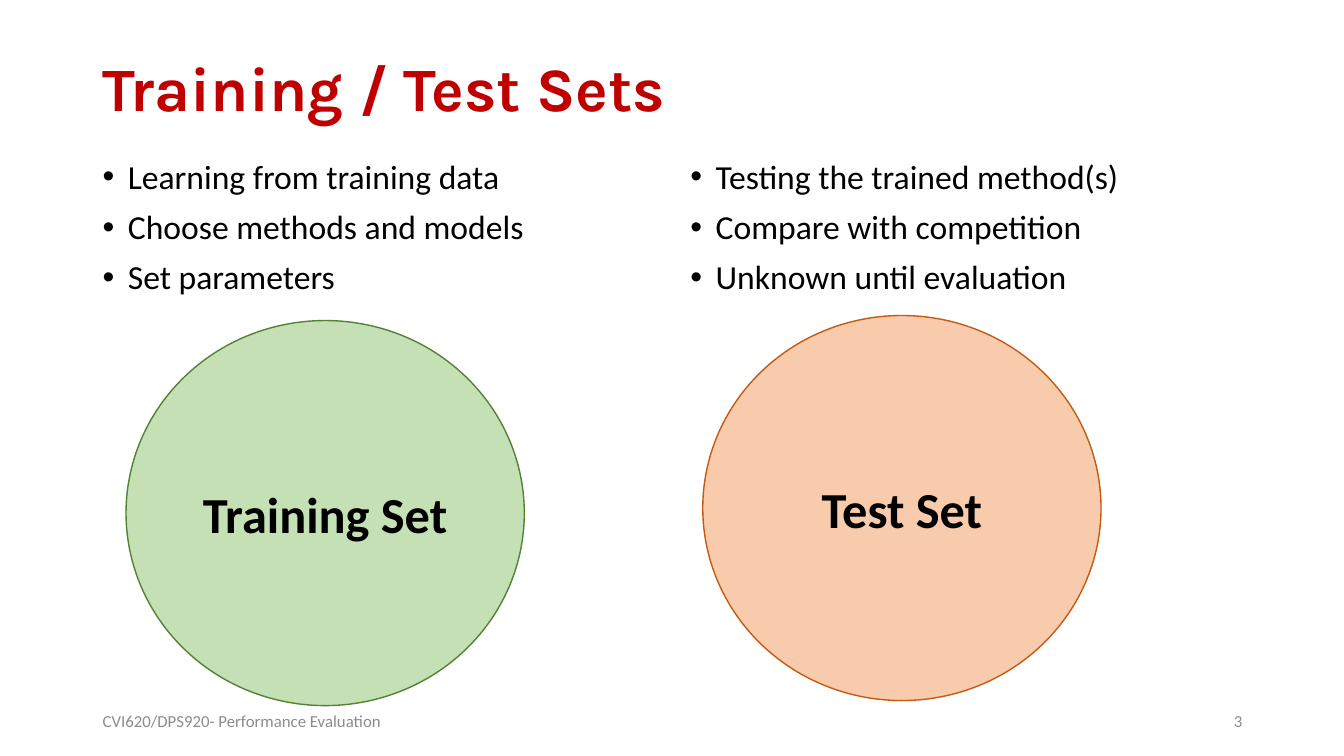
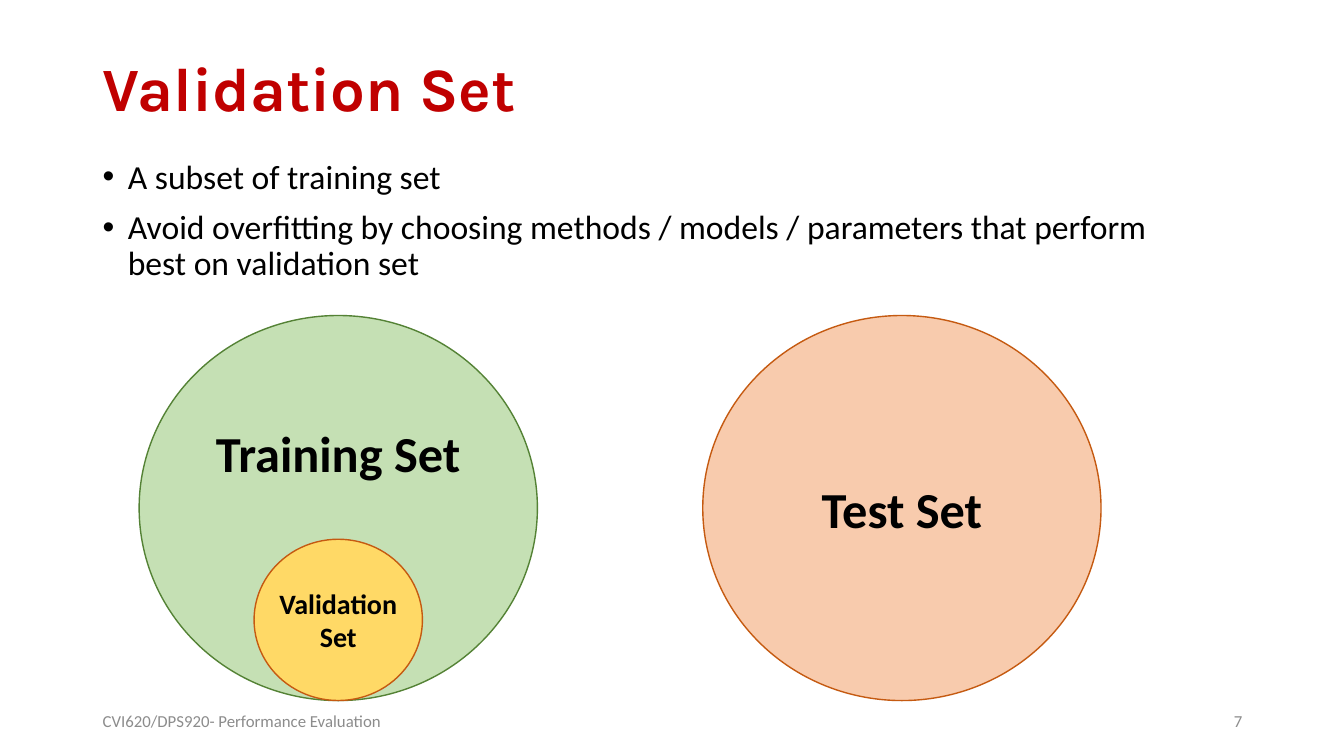
"""Build two slides on training, test and validation sets."""
from lxml.etree import SubElement
from pptx import Presentation
from pptx.dml.color import RGBColor
from pptx.enum.shapes import MSO_SHAPE
from pptx.enum.text import MSO_ANCHOR, MSO_AUTO_SIZE, PP_ALIGN
from pptx.oxml.ns import qn
from pptx.util import Inches, Pt

TITLE = {"name": "Karla", "size": Pt(44), "bold": True, "color": "C00000"}
BODY = {"name": "Calibri", "size": Pt(24), "bold": False, "color": "000000"}
LABEL = BODY | {"size": Pt(36), "bold": True}
SMALL = LABEL | {"size": Pt(20)}
FOOTER = BODY | {"size": Pt(12), "color": "8C8C8C"}
GREEN, ORANGE, YELLOW = ("C5E0B4", "548235"), ("F8CBAD", "C55A11"), ("FFD966", "C55A11")
MIDDLE = {"vertical_anchor": MSO_ANCHOR.MIDDLE}
TOP = {"vertical_anchor": MSO_ANCHOR.TOP}
UPPER = TOP | {"margin_top": Inches(0.5)}
TIGHT = MIDDLE | {f"margin_{side}": 0 for side in ("left", "top", "right", "bottom")}

TEST_SET = ("Test Set", 6.97, 3.13, 3.95, 3.82, ORANGE, LABEL, MIDDLE)
SLIDES = [
    {
        "title": "Training / Test Sets",
        "number": "3",
        "lists": [
            (0.92, 5.67, ["Learning from training data", "Choose methods and models",
                          "Set parameters"]),
            (6.75, 5.67, ["Testing the trained method(s)", "Compare with competition",
                          "Unknown until evaluation"]),
        ],
        "circles": [
            ("Training Set", 1.25, 3.18, 3.95, 3.82, GREEN, LABEL, MIDDLE),
            TEST_SET,
        ],
    },
    {
        "title": "Validation Set",
        "number": "7",
        "lists": [
            (0.92, 10.94, ["A subset of training set",
                           "Avoid overfitting by choosing methods / models / parameters "
                           "that perform best on validation set"]),
        ],
        "circles": [
            TEST_SET,
            ("Training Set", 1.38, 3.13, 3.95, 3.82, GREEN, LABEL, UPPER),
            ("Validation Set", 2.52, 5.35, 1.67, 1.6, YELLOW, SMALL, TIGHT),
        ],
    },
]


def rgb(value):
    return RGBColor.from_string(value)


def write(sp, lines, style, frame, align=PP_ALIGN.LEFT, spacing=1.0, bullets=False):
    tf = sp.text_frame
    for key, value in ({"word_wrap": True, "auto_size": MSO_AUTO_SIZE.NONE} | frame).items():
        setattr(tf, key, value)
    for i, line in enumerate(lines):
        p = tf.add_paragraph() if i else tf.paragraphs[0]
        p.alignment, p.line_spacing = align, spacing
        p.space_before = Pt(10 if i else 0)
        if bullets:
            pPr = p._p.get_or_add_pPr()
            pPr.set("marL", str(Inches(0.25)))
            pPr.set("indent", str(Inches(-0.25)))
            SubElement(pPr, qn("a:buFont"), typeface="Arial")
            SubElement(pPr, qn("a:buChar"), char="•")
        r = p.add_run()
        r.text = line
        for key, value in style.items():
            if key == "color":
                r.font.color.rgb = rgb(value)
            else:
                setattr(r.font, key, value)


prs = Presentation()
prs.slide_width, prs.slide_height = Inches(13.33), Inches(7.5)

for content in SLIDES:
    s = prs.slides.add_slide(prs.slide_layouts[5])
    title = s.shapes.title
    title.left, title.top = Inches(0.92), Inches(0.4)
    title.width, title.height = Inches(11.5), Inches(1.01)
    write(title, [content["title"]], TITLE, MIDDLE, spacing=0.9)

    for x, w, lines in content["lists"]:
        sp = s.shapes.add_textbox(Inches(x), Inches(1.54), Inches(w), Inches(5.21))
        write(sp, lines, BODY, TOP, spacing=0.9, bullets=True)

    for text, x, y, w, h, (fill, line), style, frame in content["circles"]:
        sp = s.shapes.add_shape(MSO_SHAPE.OVAL, Inches(x), Inches(y), Inches(w), Inches(h))
        sp.shadow.inherit = False
        sp.fill.solid()
        sp.fill.fore_color.rgb = rgb(fill)
        sp.line.color.rgb = rgb(line)
        sp.line.width = Pt(1)
        write(sp, [text], style, frame, PP_ALIGN.CENTER)

    for x, text, align in [
        (0.92, "CVI620/DPS920- Performance Evaluation", PP_ALIGN.LEFT),
        (9.42, content["number"], PP_ALIGN.RIGHT),
    ]:
        sp = s.shapes.add_textbox(Inches(x), Inches(6.95), Inches(3), Inches(0.4))
        write(sp, [text], FOOTER, MIDDLE, align)

prs.save("out.pptx")
